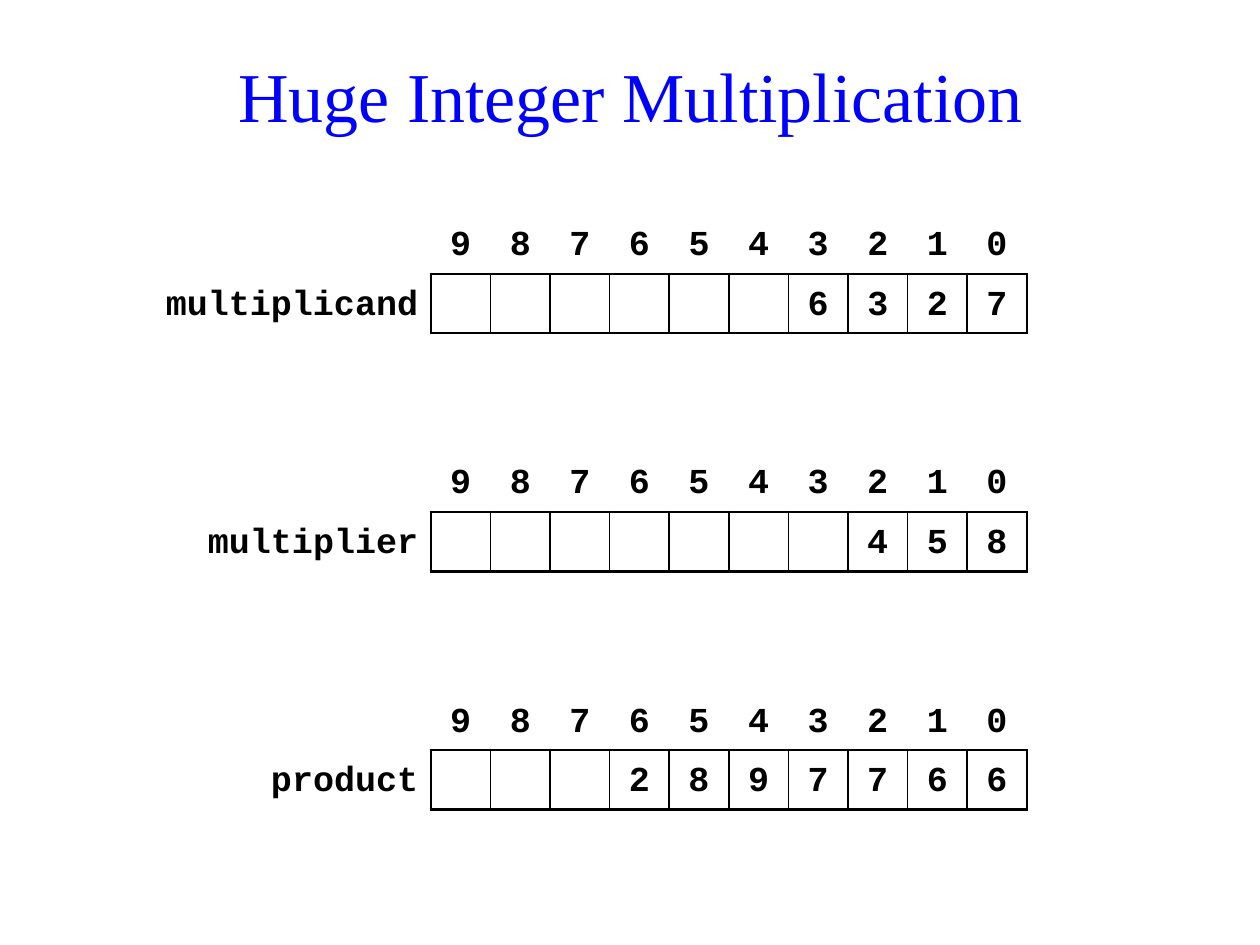
from lxml import etree
from pptx import Presentation
from pptx.dml.color import RGBColor
from pptx.enum import text
from pptx.oxml import ns
from pptx.util import Inches, Pt

COLORS = {"title": "0000FF", "ink": "000000"}
NO_STYLE = "{2D5ABB26-0587-4C30-8999-92F81FD0307C}"
DIGITS = 10
GRID_LEFT, GRID_WIDTH = 3.42, 4.73
CELL = GRID_WIDTH / DIGITS
OUTER, INNER = 1.5, 1


class Deck:
    title_font = "Times New Roman"
    digit_font = "Courier New"

    def __init__(self, width, height):
        self.prs = Presentation()
        self.prs.slide_width = Inches(width)
        self.prs.slide_height = Inches(height)
        self.slide = None

    def format(self, paragraph, font, size, color, align, bold=False):
        paragraph.alignment = align
        paragraph.font.name = font
        paragraph.font.size = Pt(size)
        paragraph.font.bold = bold
        paragraph.font.color.rgb = RGBColor.from_string(COLORS[color])

    def add_slide(self, heading):
        self.slide = self.prs.slides.add_slide(self.prs.slide_layouts[5])
        title = self.slide.shapes.title
        title.left, title.top = Inches(0.28), Inches(0.28)
        title.width, title.height = Inches(9.45), Inches(0.94)
        title.text_frame.text = heading
        title.text_frame.vertical_anchor = text.MSO_ANCHOR.MIDDLE
        self.format(title.text_frame.paragraphs[0], self.title_font, 40,
                    "title", text.PP_ALIGN.CENTER)

    def fill_cell(self, cell, content, align, inset):
        cell.margin_left = cell.margin_right = Inches(inset)
        cell.margin_top = cell.margin_bottom = Inches(0.02)
        cell.text = content
        paragraph = cell.text_frame.paragraphs[0]
        paragraph.line_spacing = 1.25
        self.format(paragraph, self.digit_font, 20, "ink", align, bold=True)

    def border(self, cell, **widths):
        properties = cell._tc.get_or_add_tcPr()
        for side in "LRTB":
            width = widths.get(side)
            line = etree.SubElement(properties, ns.qn(f"a:ln{side}"))
            if width:
                line.set("w", str(Pt(width)))
                fill = etree.SubElement(line, ns.qn("a:solidFill"))
                etree.SubElement(fill, ns.qn("a:srgbClr"), val=COLORS["ink"])
            else:
                etree.SubElement(line, ns.qn("a:noFill"))
        cell.fill.background()

    def add_number(self, label, number, top, label_width, inset):
        frame = self.slide.shapes.add_table(
            2, DIGITS + 1, Inches(GRID_LEFT - label_width), Inches(top),
            Inches(label_width + GRID_WIDTH), Inches(2 * CELL))
        table = frame.table
        table.first_row = table.horz_banding = False
        table._tbl.tblPr.find(ns.qn("a:tableStyleId")).text = NO_STYLE
        for row in table.rows:
            row.height = Inches(CELL)
        table.columns[0].width = Inches(label_width)
        self.border(table.cell(0, 0))
        self.fill_cell(table.cell(1, 0), label, text.PP_ALIGN.RIGHT, 0.1)
        self.border(table.cell(1, 0), R=OUTER)
        for column, digit in enumerate(number.rjust(DIGITS), start=1):
            table.columns[column].width = Inches(CELL)
            index_cell, digit_cell = table.cell(0, column), table.cell(1, column)
            self.fill_cell(index_cell, str(DIGITS - column),
                           text.PP_ALIGN.CENTER, inset)
            self.border(index_cell, B=OUTER)
            self.fill_cell(digit_cell, digit.strip(),
                           text.PP_ALIGN.CENTER, inset)
            self.border(digit_cell, T=OUTER, B=OUTER,
                        L=OUTER if column == 1 else INNER,
                        R=OUTER if column == DIGITS else INNER)


deck = Deck(10, 7.5)
deck.add_slide("Huge Integer Multiplication")
NUMBERS = [
    ("multiplicand", "6327", 2.23, 0.1),
    ("multiplier", "458", 1.89, 0.1),
    ("product", "2897766", 1.42, 0.04),
]
for position, (label, number, label_width, inset) in enumerate(NUMBERS):
    deck.add_number(label, number, 1.7 + 1.89 * position, label_width, inset)
deck.prs.save("out.pptx")
